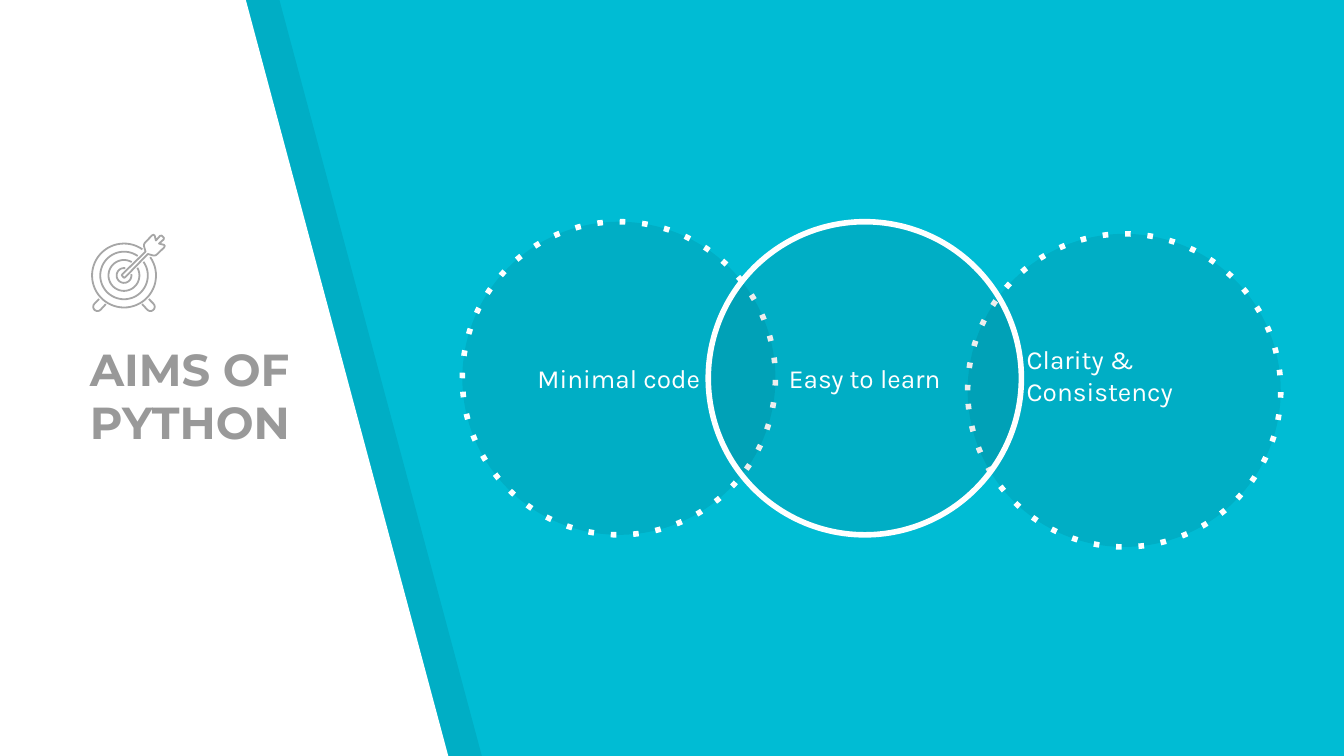
from dataclasses import dataclass
from math import cos, radians, sin

from lxml.etree import SubElement
from pptx import Presentation
from pptx.dml.color import RGBColor
from pptx.enum.shapes import MSO_SHAPE as Preset
from pptx.enum.text import MSO_ANCHOR as Anchor, PP_ALIGN as Align
from pptx.oxml.ns import qn
from pptx.util import Inches, Pt

CELL = 0.1  # inches; the slide is a grid of 100 columns by 56.25 rows
COLUMNS, ROWS = 100, 56.25


@dataclass(frozen=True)
class Theme:
    background: str = "00BCD4"
    panel: str = "FFFFFF"
    shade: str = "000000"
    shade_opacity: int = 7
    light: str = "FFFFFF"
    title: str = "999999"
    icon: str = "A6A6A6"
    title_font: str = "Montserrat"
    body_font: str = "Karla"
    title_size: int = 24
    body_size: int = 14
    ring_width: float = 3
    icon_width: float = 0.96


def grid(cells):
    return Inches(cells * CELL)


def write(shape, text, *, font, size, color, bold=False, align=Align.LEFT,
          anchor=Anchor.MIDDLE, bottom=1):
    frame = shape.text_frame
    frame.word_wrap = True
    frame.vertical_anchor = anchor
    frame.margin_left = frame.margin_right = frame.margin_top = grid(1)
    frame.margin_bottom = grid(bottom)
    paragraph = frame.paragraphs[0]
    paragraph.alignment = align
    run = paragraph.add_run()
    run.text = text
    run.font.name, run.font.size, run.font.bold = font, Pt(size), bold
    run.font.color.rgb = RGBColor.from_string(color)


def arc(center, radius, start, end, step=6):
    """Points along an arc; angles in degrees, clockwise from the right."""
    count = max(1, round(abs(end - start) / step))
    angles = [radians(start + (end - start) * i / count) for i in range(count + 1)]
    return [(center[0] + radius * cos(a), center[1] + radius * sin(a)) for a in angles]


class SlideBuilder:
    def __init__(self, slide, theme):
        self.slide, self.theme = slide, theme

    def background(self):
        fill = self.slide.background.fill
        fill.solid()
        fill.fore_color.rgb = RGBColor.from_string(self.theme.background)

    def paint(self, shape, fill=None, opacity=100, line=None, width=1, dash=None):
        shape.shadow.inherit = False
        properties = shape._element.spPr
        if fill:
            shape.fill.solid()
            shape.fill.fore_color.rgb = RGBColor.from_string(fill)
            if opacity < 100:
                color = properties.find(qn("a:solidFill"))[0]
                SubElement(color, qn("a:alpha")).set("val", str(opacity * 1000))
        else:
            shape.fill.background()
        if line:
            shape.line.color.rgb = RGBColor.from_string(line)
            shape.line.width = Pt(width)
            if dash:
                SubElement(properties.find(qn("a:ln")), qn("a:prstDash")).set("val", dash)
        else:
            shape.line.fill.background()

    def outline(self, points, closed=False, **style):
        start, *rest = [(grid(x), grid(y)) for x, y in points]
        builder = self.slide.shapes.build_freeform(*start)
        builder.add_line_segments(rest, close=closed)
        self.paint(builder.convert_to_shape(), **style)

    def title(self, text, left, top, width, height):
        theme = self.theme
        box = self.slide.shapes.add_textbox(*map(grid, (left, top, width, height)))
        write(box, text, font=theme.title_font, size=theme.title_size,
              color=theme.title, bold=True, anchor=Anchor.BOTTOM)

    def circle(self, text, left, top, diameter, dash=None, **text_format):
        theme = self.theme
        shape = self.slide.shapes.add_shape(
            Preset.OVAL, *map(grid, (left, top, diameter, diameter)))
        self.paint(shape, fill=theme.shade, opacity=theme.shade_opacity,
                   line=theme.light, width=theme.ring_width, dash=dash)
        write(shape, text, font=theme.body_font, size=theme.body_size,
              color=theme.light, **text_format)

    def target_icon(self, x, y):
        style = dict(line=self.theme.icon, width=self.theme.icon_width)
        # Rings, open at the upper right where the arrow passes
        for radius, half_gap in ((2.38, 10), (1.77, 10), (1.15, 15), (0.55, 35)):
            self.outline(arc((x, y), radius, half_gap - 45, 315 - half_gap), **style)
        # Two mirrored feet
        foot = [(-1.85, 1.75), *arc((-1.97, 2.33), 0.32, 225, 45, 20), (-1.35, 2.13)]
        for side in (1, -1):
            self.outline([(x + side * dx, y + dy) for dx, dy in foot], **style)
        # Arrow, symmetric about its diagonal
        half = [(2.97, -2.8), (2.95, -2.68), (2.6, -2.37), (2.97, -2.28),
                (3.03, -2.2), (2.98, -2.08), (2.45, -1.57), (2.35, -1.5),
                (2.2, -1.48), (1.77, -1.6), (0.1, 0.12), (0, 0.17)]
        mirrored = [(-dy, -dx) for dx, dy in reversed(half)]
        self.outline([(x + dx, y + dy) for dx, dy in half + mirrored],
                     closed=True, **style)


def main():
    theme = Theme()
    presentation = Presentation()
    presentation.slide_width, presentation.slide_height = grid(COLUMNS), grid(ROWS)
    slide = presentation.slides.add_slide(presentation.slide_layouts[6])
    builder = SlideBuilder(slide, theme)
    builder.background()

    # Slanted side panel over its shade
    panel = [(-0.2, -0.1), (-0.2, 56.4), (33.4, 56.4), (18.3, 0)]
    builder.outline([(x + 2.5, y) for x, y in panel], closed=True,
                    fill=theme.shade, opacity=theme.shade_opacity)
    builder.outline(panel, closed=True, fill=theme.panel)

    # Title
    builder.title("AIMS OF PYTHON", 5.7, 29.1, 17.6, 5.3)

    # Overlapping aims, the solid one in front
    diameter = 23.3
    builder.circle("Minimal code", 34.4, 16.5, diameter, dash="dot", align=Align.CENTER)
    builder.circle("Clarity & Consistency", 72, 17.4, diameter, dash="dot", bottom=3.3)
    builder.circle("Easy to learn", 52.7, 16.5, diameter, align=Align.CENTER)

    # Target icon above the title
    builder.target_icon(9.23, 20.5)

    presentation.save("out.pptx")


if __name__ == "__main__":
    main()
